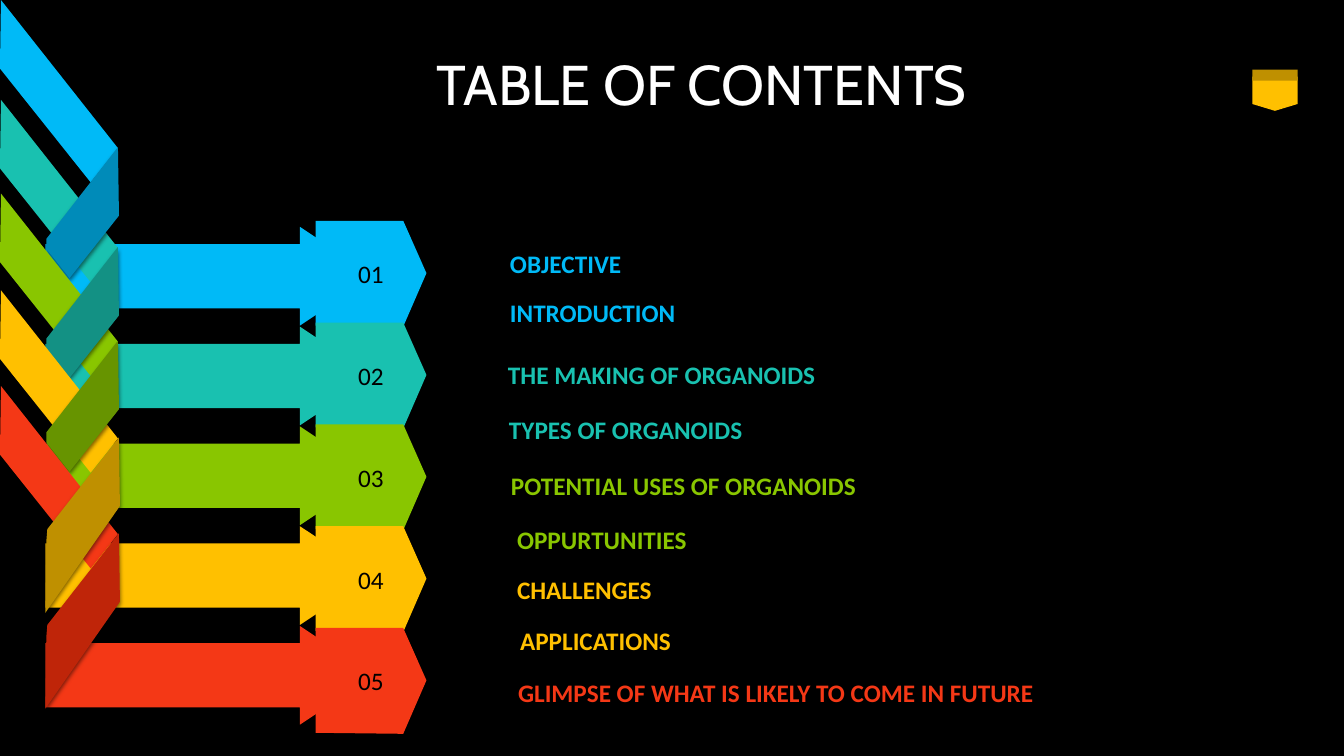
from dataclasses import dataclass

from lxml import etree
from pptx import Presentation
from pptx import util as u
from pptx.dml.color import RGBColor
from pptx.enum import shapes, text
from pptx.oxml import ns


@dataclass(frozen=True)
class Theme:
    background: str = "000000"
    title: str = "FFFFFF"
    number: str = "000000"
    shadow: str = "000000"
    ribbons: tuple = ("00BAF7", "19C1B0", "89C600", "FFC000", "F43816")
    folds: tuple = ("008BB9", "139184", "679400", "BF9000", "BF2509")
    title_font: str = "Cabin"
    body_font: str = "Calibri"
    title_size: int = 40
    body_size: int = 18


@dataclass(frozen=True)
class Box:
    column: float
    row: float
    columns: float
    rows: float

    def inner(self, column, row, columns, rows):
        return Box(self.column + column, self.row + row, columns, rows)

    def cells(self):
        return [grid(n) for n in (self.column, self.row, self.columns, self.rows)]


THEME = Theme()
CELL = u.Inches(1)
COLUMNS, ROWS = 13.33, 7.5
STRIP_TOPS = (0, 0.99, 1.92, 2.88, 3.83)
ARROW_STEP, TAG_STEP = 0.99, 1.01
STRIP = ((0.01, 0), (1.17, 1.47), (0.9, 1.81), (0, 0.68))
SHORT_FOLD = ((1.17, 0), (0.46, 0.91), (0.46, 1.01), (0.69, 1.3), (1.18, 0.68))
LONG_FOLD = ((1.18, 0), (0.47, 0.91), (0.46, 1.03), (0.45, 1.74), (1.19, 0.68))
TAG = ((0, 0), (0.87, 0), (1.1, 0.52), (0.87, 1.05), (0, 1.04))
TOPICS = (
    ("OBJECTIVE", 0, 0.02, 0),
    ("INTRODUCTION", 0, 0.02, 0.49),
    ("THE MAKING OF ORGANOIDS", 1, 0, 1.11),
    ("TYPES OF ORGANOIDS", 1, 0.01, 1.65),
    ("POTENTIAL USES OF ORGANOIDS", 2, 0.03, 2.21),
    ("OPPURTUNITIES", 2, 0.09, 2.74),
    ("CHALLENGES", 3, 0.09, 3.24),
    ("APPLICATIONS", 3, 0.12, 3.74),
    ("GLIMPSE OF WHAT IS LIKELY TO COME IN FUTURE", 4, 0.1, 4.26),
)


def grid(count):
    return round(count * CELL)


def paint(shape, color):
    shape.fill.solid()
    shape.fill.fore_color.rgb = RGBColor.from_string(color)
    shape.line.fill.background()
    shape.shadow.inherit = False
    return shape


def add_preset(slide, kind, box, color):
    return paint(slide.shapes.add_shape(kind, *box.cells()), color)


def add_outline(slide, box, points, color):
    corners = [(grid(box.column + x), grid(box.row + y)) for x, y in points]
    builder = slide.shapes.build_freeform(*corners[0], scale=1)
    builder.add_line_segments(corners[1:], close=True)
    return paint(builder.convert_to_shape(), color)


def add_soft_shadow(shape):
    effects = shape._element.find(".//" + ns.qn("a:effectLst"))
    shadow = etree.SubElement(effects, ns.qn("a:outerShdw"), blurRad=str(u.Pt(3)),
                              dist=str(u.Pt(2)), dir="5400000", rotWithShape="0")
    color = etree.SubElement(shadow, ns.qn("a:srgbClr"), val=THEME.shadow)
    etree.SubElement(color, ns.qn("a:alpha"), val="50000")


def write(shape, words, font, size, color, alignment):
    frame = shape.text_frame
    frame.word_wrap = True
    frame.text = words
    paragraph = frame.paragraphs[0]
    paragraph.alignment = alignment
    paragraph.font.name = font
    paragraph.font.size = u.Pt(size)
    paragraph.font.color.rgb = RGBColor.from_string(color)
    return paragraph


def place_title(slide, box):
    title = slide.shapes.title
    title.left, title.top, title.width, title.height = box.cells()
    paragraph = write(title, "TABLE OF CONTENTS", THEME.title_font, THEME.title_size,
                      THEME.title, text.PP_ALIGN.CENTER)
    paragraph.line_spacing = 0.9
    title.text_frame.vertical_anchor = text.MSO_ANCHOR.MIDDLE


def place_badge(slide, box):
    add_preset(slide, shapes.MSO_SHAPE.FLOWCHART_OFFPAGE_CONNECTOR,
               box.inner(0, 0.07, box.columns, box.rows - 0.07), THEME.ribbons[3])
    add_preset(slide, shapes.MSO_SHAPE.RECTANGLE,
               box.inner(0, 0, box.columns, 0.11), THEME.folds[3])


def place_fold(slide, box, index):
    points = LONG_FOLD if index >= 3 else SHORT_FOLD
    fold_box = box.inner(0, STRIP_TOPS[index] + 1.46, 1.19, 1.74)
    add_soft_shadow(add_outline(slide, fold_box, points, THEME.folds[index]))


def place_ribbons(slide, box):
    for index, (top, color) in enumerate(zip(STRIP_TOPS, THEME.ribbons)):
        arrow = add_preset(slide, shapes.MSO_SHAPE.RIGHT_ARROW,
                           box.inner(0.45, 2.25 + index * ARROW_STEP, 3.26, 0.98), color)
        arrow.adjustments[0], arrow.adjustments[1] = 0.65, 0.75
        add_outline(slide, box.inner(0, top, 1.17, 1.81), STRIP, color)
        if index:
            place_fold(slide, box, index - 1)
    place_fold(slide, box, len(STRIP_TOPS) - 1)


def place_tags(slide, box):
    for index, color in enumerate(THEME.ribbons):
        tag_box = box.inner(0, index * TAG_STEP, 1.1, 1.05)
        tag = add_outline(slide, tag_box, TAG, color)
        write(tag, f"{index + 1:02}", THEME.body_font, THEME.body_size,
              THEME.number, text.PP_ALIGN.CENTER)
        tag.text_frame.vertical_anchor = text.MSO_ANCHOR.MIDDLE


def place_topics(slide, box):
    for words, color_index, indent, top in TOPICS:
        topic_box = box.inner(indent, top, box.columns, 0.4)
        topic = slide.shapes.add_textbox(*topic_box.cells())
        paragraph = write(topic, words, THEME.body_font, THEME.body_size,
                          THEME.ribbons[color_index], text.PP_ALIGN.JUSTIFY)
        paragraph.font.bold = True


def build_contents_slide(presentation):
    slide = presentation.slides.add_slide(presentation.slide_layouts[5])
    slide.background.fill.solid()
    slide.background.fill.fore_color.rgb = RGBColor.from_string(THEME.background)
    place_badge(slide, Box(12.42, 0.69, 0.45, 0.41))
    place_title(slide, Box(1.39, 0.41, 11.14, 0.91))
    place_ribbons(slide, Box(0, 0, 3.71, ROWS))
    place_tags(slide, Box(3.13, 2.19, 1.1, 5.1))
    place_topics(slide, Box(4.94, 2.41, 5.6, 4.66))


def main():
    presentation = Presentation()
    presentation.slide_width = grid(COLUMNS)
    presentation.slide_height = grid(ROWS)
    build_contents_slide(presentation)
    presentation.save("out.pptx")


if __name__ == "__main__":
    main()
